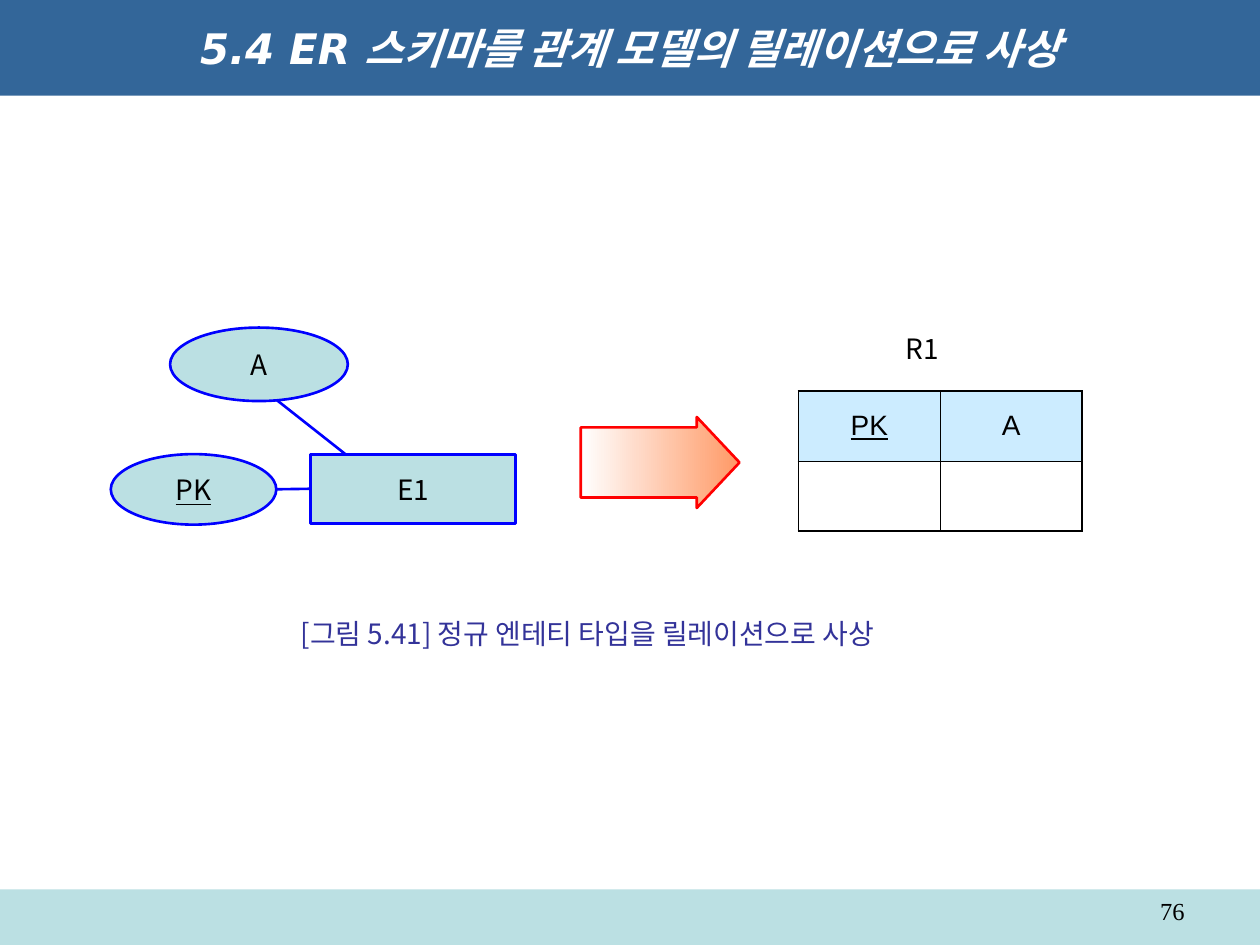
from pptx import Presentation
from pptx.dml.color import RGBColor
from pptx.enum.shapes import MSO_CONNECTOR as Connector, MSO_SHAPE as Shape
from pptx.enum.text import MSO_ANCHOR as Anchor, PP_ALIGN as Align
from pptx.oxml.ns import qn
from pptx.util import Pt
from lxml.etree import SubElement
from dataclasses import dataclass


@dataclass(frozen=True)
class Theme:
    white: str = "FFFFFF"
    black: str = "000000"
    banner: str = "336699"
    pale: str = "BBE0E3"
    outline: str = "0000FF"
    caption: str = "333399"
    header: str = "CCECFF"
    arrow_end: str = "FF9966"
    arrow_line: str = "FF0000"
    title_size: int = 24
    body_size: int = 16
    number_size: int = 14
    title_font: str = "DejaVu Sans"
    body_font: str = "Noto Sans CJK JP"
    korean_font: str = "Noto Sans CJK KR"
    table_font: str = "Arial"
    number_font: str = "Times New Roman"
    line: float = 1.5
    outer_border: float = 1.08
    inner_border: float = 0.45


THEME = Theme()
WIDTH, HEIGHT = 720, 540
TITLE = "5.4 ER 스키마를 관계 모델의 릴레이션으로 사상"
CAPTION = "[그림 5.41] 정규 엔테티 타입을 릴레이션으로 사상"
PAGE_NUMBER = "76"
RELATION = "R1"
COLUMNS = [("PK", True), ("A", False)]
LINKS = [((153.3, 224.8), (205.2, 265.7)), ((158.2, 279.6), (177.4, 279.3))]
ER_PARTS = [
    ("E1", Shape.RECTANGLE, (177.6, 259.8, 117, 39.4), False),
    ("A", Shape.OVAL, (97.2, 187.2, 101.6, 42), False),
    ("PK", Shape.OVAL, (63.3, 259.5, 94.6, 40.3), True),
]
TABLE_BOX = (456.3, 223.4, 162, 80)
ROW_COUNT = 2

deck = Presentation()
deck.slide_width, deck.slide_height = Pt(WIDTH), Pt(HEIGHT)
slide = deck.slides.add_slide(deck.slide_layouts[6])


def color(value):
    return RGBColor.from_string(value)


def write(frame, text, size=THEME.body_size, font=THEME.body_font, ink=THEME.black,
          align=Align.CENTER, anchor=Anchor.MIDDLE, wrap=False,
          bold=False, italic=False, underline=False):
    frame.word_wrap, frame.vertical_anchor = wrap, anchor
    paragraph = frame.paragraphs[0]
    paragraph.alignment = align
    run = paragraph.add_run()
    run.text = text
    run.font.size, run.font.name = Pt(size), font
    run.font.bold, run.font.italic, run.font.underline = bold, italic, underline
    run.font.color.rgb = color(ink)
    SubElement(run.font._element, qn("a:ea"), typeface=THEME.korean_font)


def add_label(box, text, **style):
    frame = slide.shapes.add_textbox(*map(Pt, box)).text_frame
    write(frame, text, **style)


def add_block(kind, box, fill=None, line=None):
    block = slide.shapes.add_shape(kind, *map(Pt, box))
    block.shadow.inherit = False
    if fill:
        block.fill.solid()
        block.fill.fore_color.rgb = color(fill)
    if line:
        block.line.color.rgb = color(line)
        block.line.width = Pt(THEME.line)
    else:
        block.line.fill.background()
    return block


def add_link(start, end):
    link = slide.shapes.add_connector(Connector.STRAIGHT, *map(Pt, start + end))
    link.line.color.rgb = color(THEME.outline)
    link.line.width = Pt(THEME.line)
    SubElement(link._element.spPr, qn("a:effectLst"))


def add_borders(cell, row, column):
    outer_edges = {"L": column == 0, "R": column == len(COLUMNS) - 1,
                   "T": row == 0, "B": row == ROW_COUNT - 1}
    properties = cell._tc.get_or_add_tcPr()
    for side, outer in outer_edges.items():
        width = THEME.outer_border if outer else THEME.inner_border
        edge = SubElement(properties, qn(f"a:ln{side}"), w=str(int(Pt(width))))
        fill = SubElement(edge, qn("a:solidFill"))
        SubElement(fill, qn("a:srgbClr"), val=THEME.black)


def add_relation():
    table = slide.shapes.add_table(ROW_COUNT, len(COLUMNS), *map(Pt, TABLE_BOX)).table
    table.first_row = table.horz_banding = False
    for column, (name, is_key) in enumerate(COLUMNS):
        for row in range(ROW_COUNT):
            cell = table.cell(row, column)
            add_borders(cell, row, column)
            cell.vertical_anchor = Anchor.MIDDLE
            if row:
                cell.fill.background()
            else:
                cell.fill.solid()
                cell.fill.fore_color.rgb = color(THEME.header)
                write(cell.text_frame, name, font=THEME.table_font,
                      underline=is_key, wrap=None, anchor=None)


def add_arrow():
    arrow = add_block(Shape.RIGHT_ARROW, (331.9, 238.3, 90.7, 52), line=THEME.arrow_line)
    arrow.adjustments[0], arrow.adjustments[1] = 0.77, 0.47
    arrow.fill.gradient()
    arrow.fill.gradient_angle = 0
    for stop, shade in zip(arrow.fill.gradient_stops, (THEME.white, THEME.arrow_end)):
        stop.color.rgb = color(shade)


add_block(Shape.RECTANGLE, (0, 508.3, WIDTH, 31.7), THEME.pale)
add_label((516.2, 508.3, 167.8, 20.9), PAGE_NUMBER, size=THEME.number_size,
          font=THEME.number_font, align=Align.RIGHT, anchor=Anchor.TOP, wrap=True)
banner = add_block(Shape.RECTANGLE, (0, 0, WIDTH, 54.7), THEME.banner)
write(banner.text_frame, TITLE, size=THEME.title_size, font=THEME.title_font,
      ink=THEME.white, bold=True, italic=True, wrap=True)
add_label((164.9, 348.5, 374.4, 26.6), CAPTION, font=THEME.korean_font,
          ink=THEME.caption, align=Align.LEFT)
for start, end in LINKS:
    add_link(start, end)
for name, kind, box, is_key in ER_PARTS:
    part = add_block(kind, box, THEME.pale, THEME.outline)
    write(part.text_frame, name, underline=is_key)
add_relation()
add_label((507, 185.8, 40, 26.6), RELATION, anchor=Anchor.TOP)
add_arrow()
deck.save("out.pptx")
